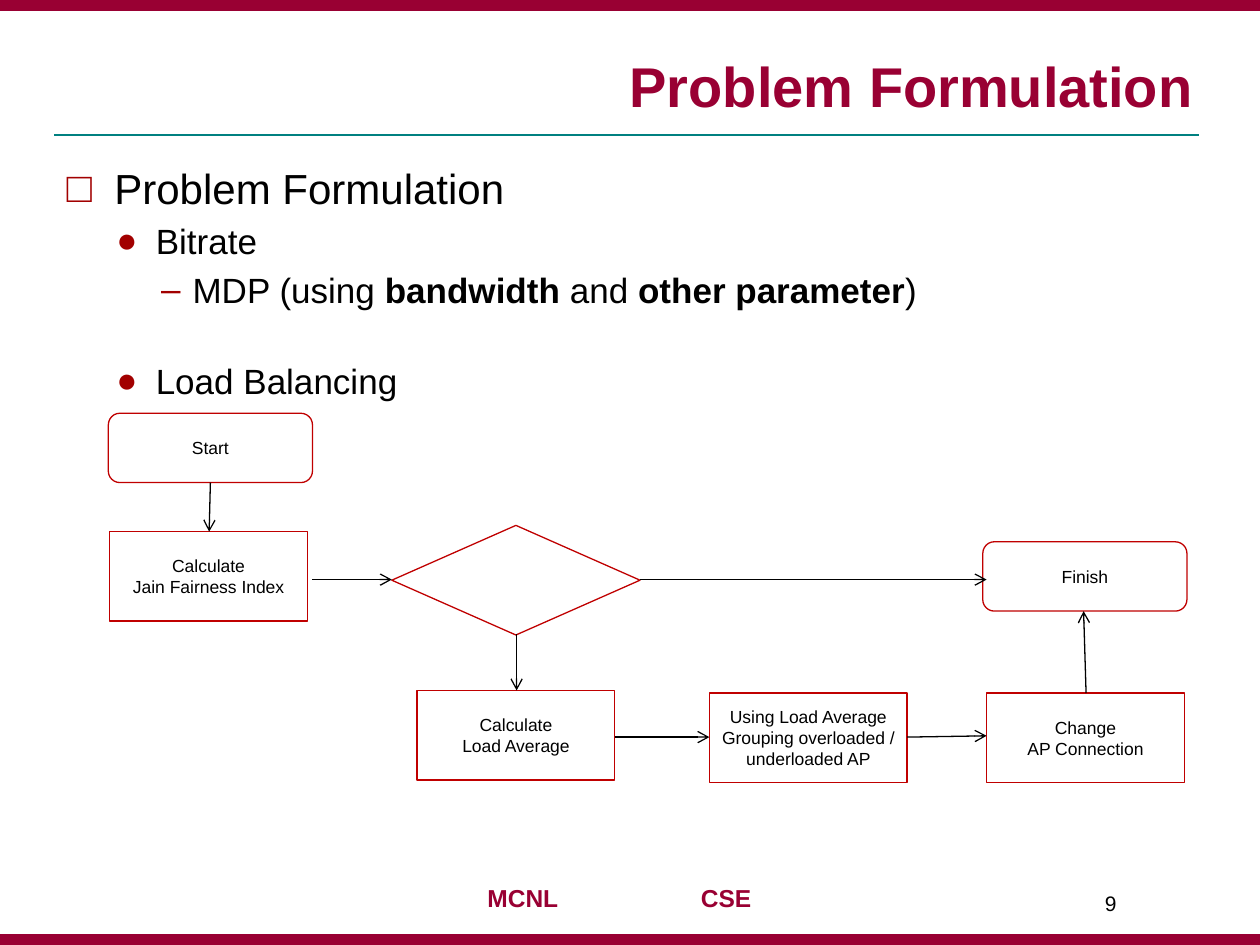
from lxml.etree import SubElement
from pptx import Presentation
from pptx.dml.color import RGBColor
from pptx.enum.shapes import MSO_CONNECTOR, MSO_SHAPE
from pptx.enum.text import MSO_ANCHOR, PP_ALIGN
from pptx.oxml.ns import qn
from pptx.util import Pt

FONT = "Arial"
HUES = {"brand": "990033", "rule": "008080", "mark": "A20000",
        "edge": "C00000", "ink": "000000"}
WIDE, HIGH, BAND = 720, 540, 5.76

TITLE = "Problem Formulation"
LEVELS = [("□", 24, 27.36, 27.36), ("●", 20, 51, 22.5), ("‒", 20, 72, 18)]
POINTS = [
    (0, 0, [("Problem Formulation", False)]),
    (1, 4, [("Bitrate", False)]),
    (2, 4, [("MDP (using ", False), ("bandwidth", True), (" and ", False),
            ("other parameter", True), (")", False)]),
    (1, 28, [("Load Balancing", False)]),
]

KINDS = {
    "round": (MSO_SHAPE.ROUNDED_RECTANGLE, 116.64, 39.6),
    "step": (MSO_SHAPE.RECTANGLE, 113.04, 51.12),
    "test": (MSO_SHAPE.FLOWCHART_DECISION, 141.84, 62.64),
}
NODES = [
    ("round", 61.92, 236.16, ["Start"]),
    ("step", 62.64, 303.84, ["Calculate", "Jain Fairness Index"]),
    ("test", 223.92, 300.24, []),
    ("step", 238.32, 394.56, ["Calculate", "Load Average"]),
    ("step", 405.36, 396, ["Using Load Average",
                           "Grouping overloaded / underloaded AP"]),
    ("step", 563.76, 396, ["Change", "AP Connection"]),
    ("round", 561.6, 309.6, ["Finish"]),
]
ARROWS = [
    (120.24, 275.76, 119.52, 303.84),
    (178.56, 331.2, 223.92, 331.2),
    (365.76, 331.2, 563.76, 331.2),
    (295.2, 362.16, 295.2, 394.56),
    (351.36, 421.2, 405.36, 421.2),
    (518.4, 421.2, 563.76, 420.48),
    (620.64, 396, 619.2, 349.2),
]


def tint(name):
    return RGBColor.from_string(HUES[name])


def write(para, text, size, hue="ink", bold=False):
    run = para.add_run()
    run.text = text
    run.font.name, run.font.size, run.font.bold = FONT, Pt(size), bold
    run.font.color.rgb = tint(hue)


def add_box(left, top, width, height):
    frame = slide.shapes.add_textbox(Pt(left), Pt(top), Pt(width), Pt(height)).text_frame
    frame.word_wrap = True
    return frame


def add_form(kind, left, top, width, height, edge, fill=None):
    form = slide.shapes.add_shape(kind, Pt(left), Pt(top), Pt(width), Pt(height))
    form.shadow.inherit = False
    if fill:
        form.fill.solid()
        form.fill.fore_color.rgb = tint(fill)
    else:
        form.fill.background()
    form.line.color.rgb = tint(edge)
    form.line.width = Pt(0.75)
    return form


def add_line(ends, hue, width, head=False):
    line = slide.shapes.add_connector(MSO_CONNECTOR.STRAIGHT, *map(Pt, ends))
    line.line.color.rgb = tint(hue)
    line.line.width = Pt(width)
    if head:
        SubElement(line.line._get_or_add_ln(), qn("a:tailEnd"), type="arrow")
    SubElement(line._element.spPr, qn("a:effectLst"))


def add_mark(para, char, left, hang):
    props = para._p.get_or_add_pPr()
    props.set("marL", str(Pt(left)))
    props.set("indent", str(-Pt(hang)))
    color = SubElement(props, qn("a:buClr"))
    SubElement(color, qn("a:srgbClr"), val=HUES["mark"])
    SubElement(props, qn("a:buFont"), typeface=FONT)
    SubElement(props, qn("a:buChar"), char=char)


def add_node(kind, left, top, lines):
    form, width, height = KINDS[kind]
    frame = add_form(form, left, top, width, height, "edge").text_frame
    frame.word_wrap = True
    frame.vertical_anchor = MSO_ANCHOR.MIDDLE
    frame.margin_left = frame.margin_right = Pt(2)
    for i, text in enumerate(lines):
        para = frame.add_paragraph() if i else frame.paragraphs[0]
        para.alignment = PP_ALIGN.CENTER
        write(para, text, 10)


deck = Presentation()
deck.slide_width, deck.slide_height = Pt(WIDE), Pt(HIGH)
slide = deck.slides.add_slide(deck.slide_layouts[6])

add_line((30.96, 77.04, 685.44, 77.04), "rule", 1)
for top in (0, HIGH - BAND):
    add_form(MSO_SHAPE.RECTANGLE, 0, top, WIDE, BAND, "brand", "brand")

head = add_box(36, 18, 653.04, 53.28)
head.vertical_anchor = MSO_ANCHOR.BOTTOM
head.paragraphs[0].alignment = PP_ALIGN.RIGHT
write(head.paragraphs[0], TITLE, 32, "brand", True)

body = add_box(30.96, 89.28, 658.08, 145)
for i, (level, gap, runs) in enumerate(POINTS):
    char, size, left, hang = LEVELS[level]
    para = body.add_paragraph() if i else body.paragraphs[0]
    para.level = level
    add_mark(para, char, left, hang)
    para.space_before = Pt(gap)
    for text, bold in runs:
        write(para, text, size, bold=bold)

for node in NODES:
    add_node(*node)
for ends in ARROWS:
    add_line(ends, "ink", 0.75, True)

foot = add_box(271.44, 501.12, 180, 24.48).paragraphs[0]
tabs = SubElement(foot._p.get_or_add_pPr(), qn("a:tabLst"))
SubElement(tabs, qn("a:tab"), pos=str(Pt(122)), algn="l")
write(foot, "MCNL\tCSE", 14, "brand", True)

write(add_box(624.24, 505.44, 59.76, 28.8).paragraphs[0], "9", 12)

deck.save("out.pptx")
